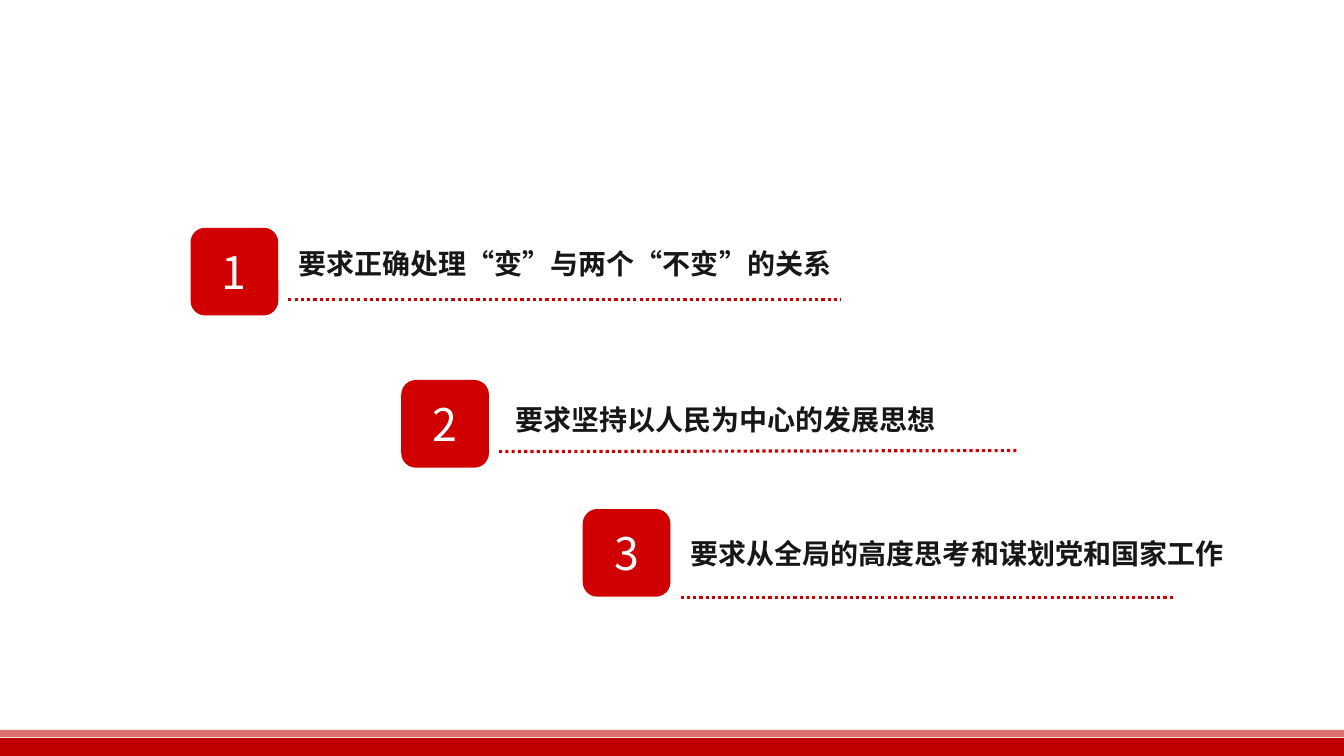
from dataclasses import dataclass
from lxml.etree import SubElement
from pptx import Presentation
from pptx.dml.color import RGBColor as RGB
from pptx.enum.dml import MSO_LINE as Dash
from pptx.enum.shapes import MSO_CONNECTOR as Conn, MSO_SHAPE as Shape
from pptx.enum.text import MSO_ANCHOR as Anchor, PP_ALIGN as Align
from pptx.oxml.ns import qn
from pptx.util import Inches, Pt


@dataclass(frozen=True)
class Theme:
    font: str = "Noto Sans CJK SC"
    band: RGB = RGB(0xC0, 0x00, 0x00)
    badge: RGB = RGB(0xD0, 0x00, 0x00)
    rule: RGB = RGB(0xCF, 0x00, 0x00)
    ink: RGB = RGB(0x18, 0x17, 0x17)
    white: RGB = RGB(0xFF, 0xFF, 0xFF)
    body: Pt = Pt(20)
    digit: Pt = Pt(32)


theme = Theme()


def write(frame, text, size, color, bold=False, align=Align.LEFT, anchor=Anchor.TOP):
    frame.word_wrap = True
    frame.vertical_anchor = anchor
    para = frame.paragraphs[0]
    para.alignment = align
    run = para.add_run()
    run.text = text
    font = run.font
    font.name, font.size, font.bold = theme.font, size, bold
    font.color.rgb = color
    SubElement(run._r.get_or_add_rPr(), qn("a:ea"), typeface=theme.font)


def block(kind, left, top, width, height, color):
    shape = slide.shapes.add_shape(
        kind, Inches(left), Inches(top), Inches(width), Inches(height))
    shape.shadow.inherit = False
    shape.fill.solid()
    shape.fill.fore_color.rgb = color
    shape.line.fill.background()
    return shape


deck = Presentation()
deck.slide_width, deck.slide_height = Inches(13.33), Inches(7.5)
slide = deck.slides.add_slide(deck.slide_layouts[6])

block(Shape.RECTANGLE, 0, 7.32, 13.33, 0.18, theme.band)
strip = block(Shape.RECTANGLE, 0, 7.24, 13.33, 0.07, theme.band)
tint = strip._element.spPr.find(qn("a:solidFill"))[0]
SubElement(tint, qn("a:alpha"), val="56000")

side = 0.87
gap = 0.1
points = [
    ("要求正确处理“变”与两个“不变”的关系", 1.89, 2.26, 2.86, 2.4, 5.78, 2.97, 2.97, 8.34),
    ("要求坚持以人民为中心的发展思想", 3.98, 3.77, 5.01, 3.94, 5.1, 4.48, 4.47, 10.11),
    ("要求从全局的高度思考和谋划党和国家工作", 5.78, 5.05, 6.75, 5.27, 5.91, 5.93, 5.93, 11.63),
]

for num, (text, left, top, text_x, text_y, width, start, end, right) in enumerate(points, 1):
    label = slide.shapes.add_textbox(
        Inches(text_x), Inches(text_y), Inches(width), Inches(0.44))
    write(label.text_frame, text, theme.body, theme.ink, bold=True)

    badge = block(Shape.ROUNDED_RECTANGLE, left, top, side, side, theme.badge)
    write(badge.text_frame, str(num), theme.digit, theme.white,
          align=Align.CENTER, anchor=Anchor.MIDDLE)

    rule = slide.shapes.add_connector(
        Conn.STRAIGHT, Inches(left + side + gap), Inches(start), Inches(right), Inches(end))
    rule.line.color.rgb = theme.rule
    rule.line.width = Pt(2.25)
    rule.line.dash_style = Dash.ROUND_DOT
    SubElement(rule._element.spPr, qn("a:effectLst"))

deck.save("out.pptx")
